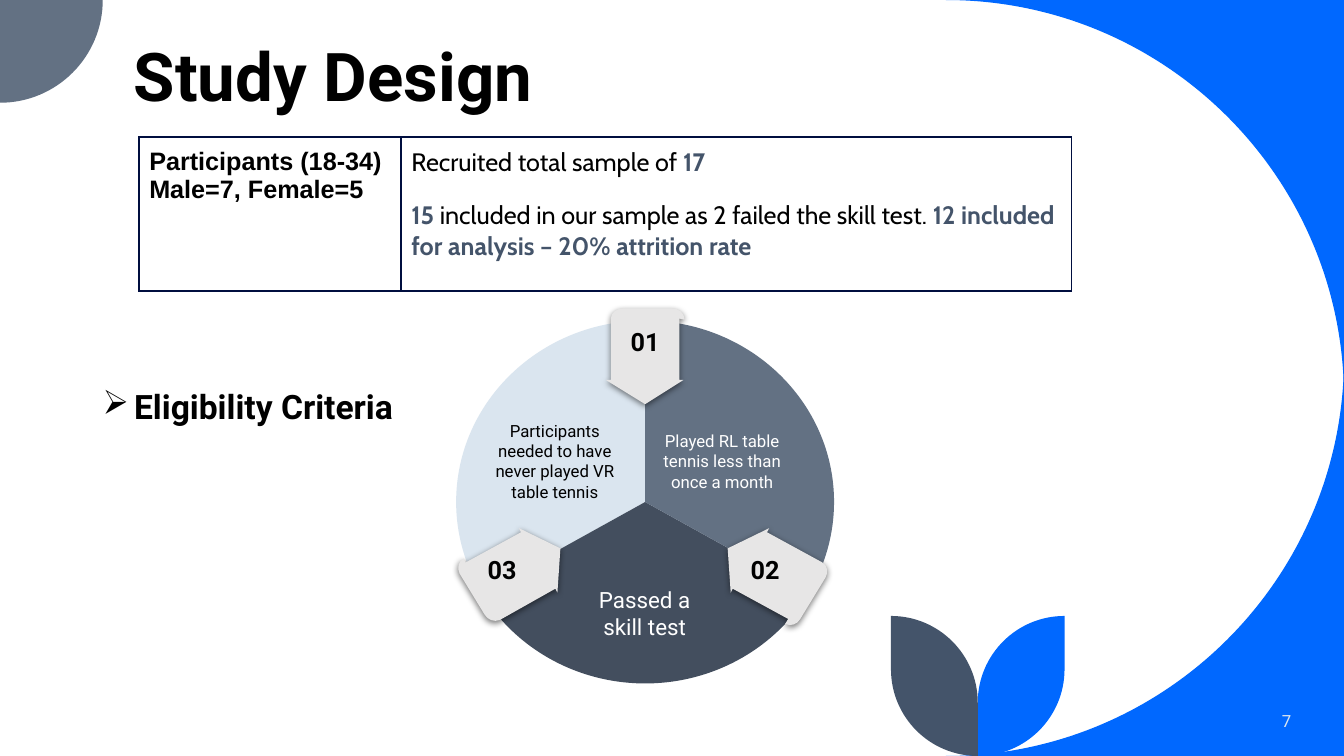
from dataclasses import dataclass
from math import cos, radians, sin, tan

from lxml import etree
from pptx import Presentation
from pptx.dml.color import RGBColor
from pptx.enum.text import MSO_ANCHOR, PP_ALIGN
from pptx.oxml.ns import qn
from pptx.util import Pt

LEFT, CENTER, RIGHT = PP_ALIGN.LEFT, PP_ALIGN.CENTER, PP_ALIGN.RIGHT
TOP, MIDDLE, BOTTOM = MSO_ANCHOR.TOP, MSO_ANCHOR.MIDDLE, MSO_ANCHOR.BOTTOM

WIDTH, HEIGHT = 960, 540
BLACK, WHITE, PALE = "000000", "FFFFFF", "DAE5EF"
BLUE, SLATE, NAVY = "0068FF", "637183", "44546A"
DARK, GREY, BORDER = "434E5E", "E7E6E6", "000E3F"
WHEEL_CENTER = (460.8, 358.6)
WHEEL_RADII = (135, 129.6)


@dataclass(frozen=True)
class Sector:
    start: int
    fill: str


@dataclass(frozen=True)
class Label:
    text: str
    box: tuple
    size: float = 12
    color: str = BLACK
    bold: bool = False
    align: PP_ALIGN = CENTER
    anchor: MSO_ANCHOR = MIDDLE
    inset: float = 7.2
    spacing: float = 1.0


@dataclass(frozen=True)
class Phrase:
    text: str
    font: str = "Cabin"
    color: str = BLACK
    bold: bool = False


SECTORS = [Sector(150, PALE), Sector(30, DARK), Sector(-90, SLATE)]

BADGES = [
    [(445, 220.3), (440.6, 220.3, 436.3, 223.2, 436.3, 227.5), (436.3, 271.4),
     (432.7, 271.4), (460.8, 288.7), (488.2, 271.4), (485.3, 271.4), (485.3, 227.5),
     (486, 227.5, 487.4, 228.2, 488.9, 228.2), (488.9, 223.2, 484.6, 220.3, 480.2, 220.3)],
    [(370.8, 377.3), (372.2, 380.2), (332.6, 401.8), (331.2, 398.9),
     (327.6, 401, 326.2, 405.4, 328.3, 409.7), (346.3, 439.2),
     (348.5, 442.8, 353, 444.5, 357.1, 442.8), (396.7, 420.5), (398.2, 423.4), (400.3, 391.7)],
    [(549.4, 377.3), (519.8, 391.7), (522, 423.4), (523.4, 420.5), (563, 442.1),
     (560.9, 445.7), (565, 447.5, 569.5, 446, 571.7, 442.1), (589.7, 412.6),
     (591.8, 409, 591.1, 403.9, 587.5, 401.8), (547.9, 380.2)],
]

LABELS = [
    Label("Study Design", (88.6, -37.4, 756, 123.8), 48, bold=True, align=LEFT,
          anchor=BOTTOM, inset=3.6, spacing=0.9),
    Label("7", (799.2, 500.4, 130.3, 28.8), color=PALE, align=RIGHT, inset=3.6),
    Label("Participants needed to have never played VR table tennis", (345.6, 306.7, 101.5, 45.4)),
    Label("Played RL table tennis less than once a month", (465.1, 306.7, 101.5, 45.4), color=WHITE),
    Label("Passed a skill test", (409.7, 415.4, 101.5, 45.4), 16, WHITE),
    Label("01", (442.8, 234, 36, 20.2), 18, bold=True),
    Label("02", (528.5, 396.7, 36, 20.2), 18, bold=True),
    Label("03", (340.6, 396.7, 36, 20.2), 18, bold=True),
]
ELIGIBILITY = Label("Eligibility Criteria", (66.2, 272.2, 480.2, 36), 24, bold=True,
                    align=LEFT, anchor=TOP, inset=3.6)

TABLE_BOX = (99.4, 97.9, 666, 110.2)
COLUMN_WIDTHS = [187.2, 478.8]
CELLS = [
    [[Phrase("Participants (18-34)", "Arial", bold=True)],
     [Phrase("Male=7, Female=5", "Arial", bold=True)]],
    [[Phrase("Recruited total sample of "), Phrase("17", color=NAVY, bold=True)],
     [Phrase("15 ", color=NAVY, bold=True),
      Phrase("included in our sample as 2 failed the skill test. "),
      Phrase("12 included for analysis – 20% attrition rate", color=NAVY, bold=True)]],
]
PARAGRAPH_GAPS = [0, 16]


def rgb(color: str) -> RGBColor:
    return RGBColor.from_string(color)


def arc(center: tuple, radii: tuple, start: int, end: int) -> list:
    def place(x: float, y: float) -> tuple:
        return center[0] + radii[0] * x, center[1] + radii[1] * y

    stops = [start, *(angle for angle in range(start + 1, end) if angle % 90 == 0), end]
    nodes = [place(cos(radians(start)), sin(radians(start)))]
    for first, last in zip(stops, stops[1:]):
        a, b = radians(first), radians(last)
        pull = 4 / 3 * tan((b - a) / 4)
        nodes.append(place(cos(a) - pull * sin(a), sin(a) + pull * cos(a))
                     + place(cos(b) + pull * sin(b), sin(b) - pull * cos(b))
                     + place(cos(b), sin(b)))
    return nodes


def add_outline(slide, nodes: list, color: str, shadow: bool = False) -> None:
    vertices = [(Pt(node[i]), Pt(node[i + 1])) for node in nodes for i in range(0, len(node), 2)]
    builder = slide.shapes.build_freeform(*vertices[0], scale=1.0)
    builder.add_line_segments(vertices[1:], close=True)
    shape = builder.convert_to_shape()
    bend_curves(shape, nodes)
    shape.shadow.inherit = False
    shape.fill.solid()
    shape.fill.fore_color.rgb = rgb(color)
    shape.line.fill.background()
    if shadow:
        effects = shape.element.spPr.find(qn("a:effectLst"))
        outer = etree.SubElement(effects, qn("a:outerShdw"), blurRad=str(Pt(4.5)),
                                 dist=str(Pt(1.5)), dir="5400000", algn="bl", rotWithShape="0")
        shade = etree.SubElement(outer, qn("a:srgbClr"), val=BLACK)
        etree.SubElement(shade, qn("a:alpha"), val="50000")


def bend_curves(shape, nodes: list) -> None:
    segments = iter(shape.element.spPr.findall(f".//{qn('a:lnTo')}"))
    for node in nodes[1:]:
        segment = next(segments)
        if len(node) == 6:
            segment.tag = qn("a:cubicBezTo")
            for _ in range(2):
                following = next(segments)
                segment.append(following[0])
                following.getparent().remove(following)


def add_run(paragraph, text: str, *, size: float, color: str,
            font: str = "Roboto", bold: bool = False) -> None:
    run = paragraph.add_run()
    run.text = text
    run.font.name = font
    run.font.size = Pt(size)
    run.font.bold = bold
    run.font.color.rgb = rgb(color)


def add_label(slide, label: Label):
    frame = slide.shapes.add_textbox(*map(Pt, label.box)).text_frame
    frame.word_wrap = True
    frame.vertical_anchor = label.anchor
    frame.margin_left = frame.margin_right = Pt(7.2)
    frame.margin_top = frame.margin_bottom = Pt(label.inset)
    paragraph = frame.paragraphs[0]
    paragraph.alignment = label.align
    paragraph.line_spacing = label.spacing
    add_run(paragraph, label.text, size=label.size, color=label.color, bold=label.bold)
    return paragraph


def add_bullet(paragraph, symbol: str, indent: float) -> None:
    properties = paragraph._p.get_or_add_pPr()
    properties.set("marL", str(Pt(indent)))
    properties.set("indent", str(Pt(-indent)))
    etree.SubElement(properties, qn("a:buChar"), char=symbol)


def add_borders(cell) -> None:
    properties = cell._tc.get_or_add_tcPr()
    for position, side in enumerate(("lnL", "lnR", "lnT", "lnB")):
        line = etree.Element(qn(f"a:{side}"), w=str(Pt(1.5)))
        fill = etree.SubElement(line, qn("a:solidFill"))
        etree.SubElement(fill, qn("a:srgbClr"), val=BORDER)
        properties.insert(position, line)


def add_participants_table(slide) -> None:
    table = slide.shapes.add_table(1, len(CELLS), *map(Pt, TABLE_BOX)).table
    table.first_row = table.horz_banding = False
    for index, (width, paragraphs) in enumerate(zip(COLUMN_WIDTHS, CELLS)):
        table.columns[index].width = Pt(width)
        cell = table.cell(0, index)
        cell.fill.background()
        cell.margin_left = cell.margin_right = cell.margin_top = cell.margin_bottom = Pt(7.2)
        add_borders(cell)
        frame = cell.text_frame
        for number, phrases in enumerate(paragraphs):
            paragraph = frame.add_paragraph() if number else frame.paragraphs[0]
            paragraph.space_before = Pt(PARAGRAPH_GAPS[index] * number)
            for phrase in phrases:
                add_run(paragraph, phrase.text, size=18, color=phrase.color,
                        font=phrase.font, bold=phrase.bold)


def add_decoration(slide) -> None:
    radius, left = 284.4, WIDTH - 284.4
    for center_y, start, corner_y in ((radius, -90, 0), (HEIGHT - radius, 0, HEIGHT)):
        curve = arc((left, center_y), (radius, radius), start, start + 90)
        add_outline(slide, curve + [(WIDTH, corner_y)], BLUE)
    add_outline(slide, arc((0, 0), (73.4, 73.4), 0, 90) + [(0, 0)], SLATE)
    stem, leaf = 698.4, 62
    for reach, color in ((leaf, BLUE), (-leaf, NAVY)):
        lower = arc((stem, HEIGHT - leaf), (reach, leaf), 0, 90)
        upper = arc((stem + reach, 440 + leaf), (reach, leaf), 180, 270)
        add_outline(slide, lower + upper, color)


def main() -> None:
    presentation = Presentation()
    presentation.slide_width, presentation.slide_height = Pt(WIDTH), Pt(HEIGHT)
    slide = presentation.slides.add_slide(presentation.slide_layouts[6])
    add_decoration(slide)
    for sector in SECTORS:
        curve = arc(WHEEL_CENTER, WHEEL_RADII, sector.start, sector.start + 120)
        add_outline(slide, curve + [WHEEL_CENTER], sector.fill)
    for badge in BADGES:
        add_outline(slide, badge, GREY, shadow=True)
    for label in LABELS:
        add_label(slide, label)
    add_bullet(add_label(slide, ELIGIBILITY), "➢", 22.5)
    add_participants_table(slide)
    presentation.save("out.pptx")


if __name__ == "__main__":
    main()
